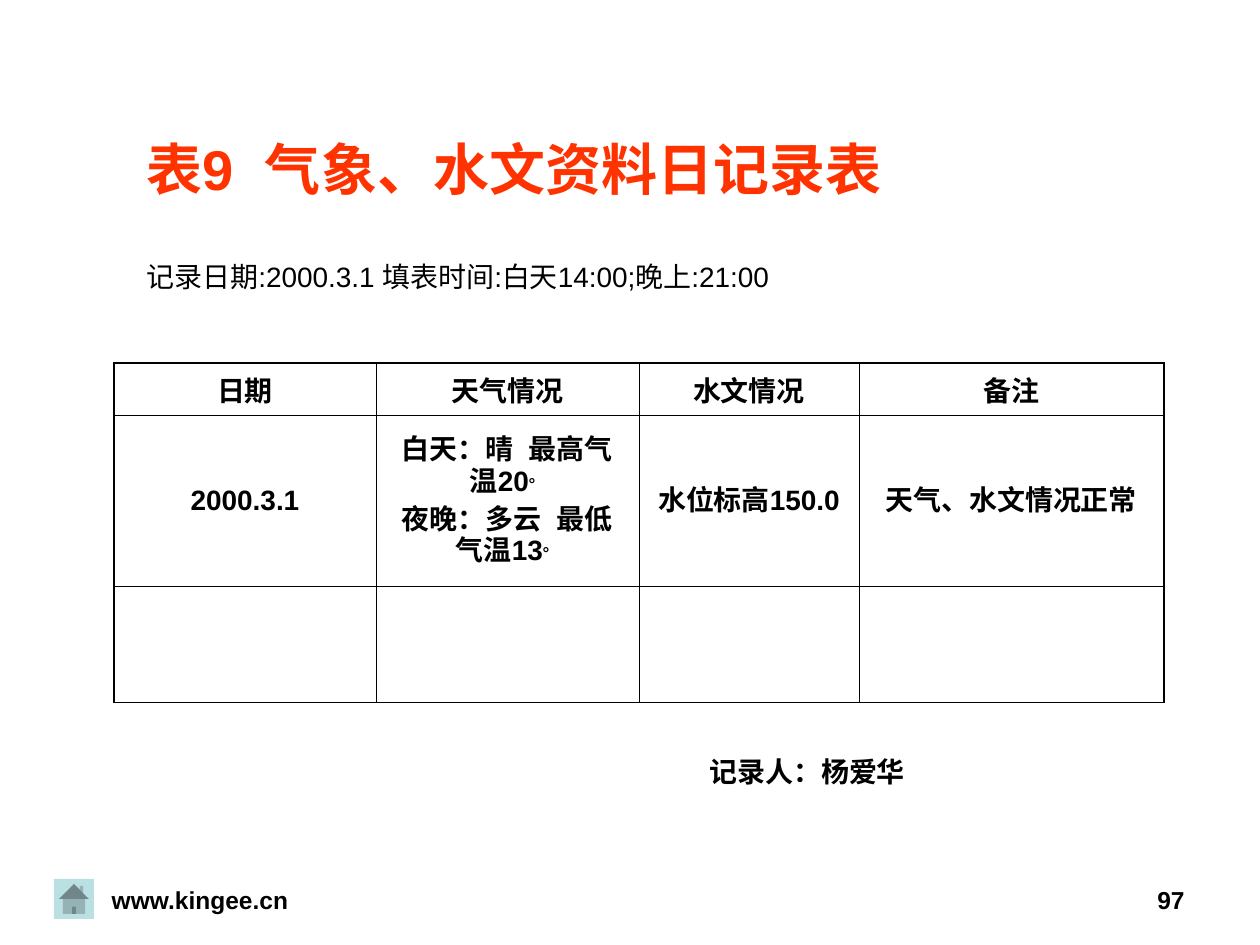
from typing import NamedTuple

from lxml import etree
from pptx import Presentation, oxml
from pptx import util as u
from pptx.dml.color import RGBColor
from pptx.enum import shapes, text
from pptx.oxml.ns import qn

BLACK = RGBColor(0x00, 0x00, 0x00)
RED = RGBColor(0xFF, 0x33, 0x00)
TEAL = RGBColor(0xBB, 0xE0, 0xE3)
ARIAL = "Arial"
NOTO = "Noto Sans CJK SC"
THIN, THICK = 0.45, 1.08
PLAIN = "{2D5ABB26-0587-4C30-8999-92F81FD0307C}"  # no style, no grid
MAIN = "http://schemas.openxmlformats.org/drawingml/2006/main"
ALIGN = text.PP_ALIGN


class Note(NamedTuple):
    words: str
    x: int
    y: int
    w: int
    h: int
    align: ALIGN


NOTES = [
    Note("www.kingee.cn", 0, 879, 400, 66, ALIGN.CENTER),
    Note("97", 903, 879, 294, 66, ALIGN.RIGHT),
]
COLS = [262, 263, 220, 305]
ROWS = [52, 171, 116, 142]
HEADS = ["日期", "天气情况", "水文情况", "备注"]
DAY = [
    "2000.3.1",
    "白天：晴  最高气温20。\n夜晚：多云  最低气温13。",
    "水位标高150.0",
    "天气、水文情况正常",
]


def px(n: int) -> int:
    """Turn px into EMU at 126 px to the inch."""
    return round(n * 914400 / 126)


def style(run, size: int, color: RGBColor, face: str, bold: bool = True) -> None:
    font = run.font
    font.size, font.bold, font.name = u.Pt(size), bold, face
    font.color.rgb = color
    etree.SubElement(run._r.get_or_add_rPr(), qn("a:ea"), typeface=face)


def shade(run) -> None:
    """Give the letters of a run a dark shadow."""
    glow = oxml.parse_xml(
        f'<a:effectLst xmlns:a="{MAIN}"><a:outerShdw dist="35921" dir="2700000">'
        '<a:srgbClr val="000000"/></a:outerShdw></a:effectLst>')
    run._r.get_or_add_rPr().find(qn("a:solidFill")).addnext(glow)


def edge(cell, sides: dict[str, float]) -> None:
    """Draw the cell borders, keyed L, R, T, B, with widths in points."""
    props = cell._tc.get_or_add_tcPr()
    for spot, (side, width) in enumerate(sides.items()):
        line = oxml.parse_xml(
            f'<a:ln{side} xmlns:a="{MAIN}" w="{u.Pt(width)}"><a:solidFill>'
            f'<a:srgbClr val="{BLACK}"/></a:solidFill></a:ln{side}>')
        props.insert(spot, line)


def write(cell, words: str, face: str) -> None:
    """Fill a cell with centred lines; a closing 。 is raised as a degree sign."""
    cell.text_frame.text = words
    for i, para in enumerate(cell.text_frame.paragraphs):
        para.alignment = ALIGN.CENTER
        if i:
            para.space_before = u.Pt(4)
        run = para.runs[0]
        if run.text.endswith("。"):
            run.text = run.text[:-1]
            mark = para.add_run()
            mark.text = "。"
            mark.font._element.set("baseline", "30000")
        for run in para.runs:
            style(run, 16, BLACK, face)


def draw_title(slide) -> None:
    title = slide.shapes.title
    title.left, title.top, title.width, title.height = map(px, (134, 165, 1071, 132))
    frame = title.text_frame
    frame.text = "表9  气象、水文资料日记录表\n记录日期:2000.3.1 填表时间:白天14:00;晚上:21:00"
    frame.auto_size = text.MSO_AUTO_SIZE.NONE
    frame.vertical_anchor = text.MSO_ANCHOR.MIDDLE
    frame.margin_bottom = px(40)
    head, sub = frame.paragraphs
    sub.space_before = u.Pt(33)
    for para, size, color, bold in ((head, 32, RED, True), (sub, 16, BLACK, False)):
        para.alignment = ALIGN.LEFT
        style(para.runs[0], size, color, ARIAL, bold)
        shade(para.runs[0])


def draw_table(slide) -> None:
    frame = slide.shapes.add_table(
        len(ROWS), len(COLS), px(114), px(363), px(sum(COLS)), px(sum(ROWS)))
    table = frame.table
    table.first_row = table.horz_banding = False
    table._tbl.tblPr.find(qn("a:tableStyleId")).text = PLAIN
    for col, wide in zip(table.columns, COLS):
        col.width = px(wide)
    for row, high in zip(table.rows, ROWS):
        row.height = px(high)

    # Grid: heavy on the outside, fine within; the signature row is open
    sign, last = len(ROWS) - 1, len(COLS) - 1
    for r in range(len(ROWS)):
        for c in range(len(COLS)):
            cell = table.cell(r, c)
            cell.fill.background()
            cell.vertical_anchor = text.MSO_ANCHOR.MIDDLE
            if r == sign:
                edge(cell, {"T": THIN})
            else:
                edge(cell, {
                    "L": THIN if c else THICK,
                    "R": THICK if c == last else THIN,
                    "T": THIN if r else THICK,
                    "B": THIN,
                })

    # Wording
    for r, (words, face) in enumerate(((HEADS, NOTO), (DAY, ARIAL))):
        for c, word in enumerate(words):
            write(table.cell(r, c), word, face)
    foot = table.cell(sign, 0)
    foot.merge(table.cell(sign, last))
    write(foot, "记录人：杨爱华", ARIAL)
    para = foot.text_frame.paragraphs[0]
    para.alignment = ALIGN.LEFT
    para._p.get_or_add_pPr().set("marL", str(px(583)))


def draw_note(slide, note: Note) -> None:
    box = slide.shapes.add_textbox(*map(px, (note.x, note.y, note.w, note.h)))
    box.text_frame.word_wrap = True
    box.text_frame.text = note.words
    para = box.text_frame.paragraphs[0]
    para.alignment = note.align
    style(para.runs[0], 14, BLACK, ARIAL)


def main() -> None:
    deck = Presentation()
    deck.slide_width, deck.slide_height = px(1260), px(945)
    slide = deck.slides.add_slide(deck.slide_layouts[5])

    # Home button and footer
    home = slide.shapes.add_shape(
        shapes.MSO_SHAPE.ACTION_BUTTON_HOME, px(54), px(879), px(40), px(40))
    home.shadow.inherit = False
    home.fill.solid()
    home.fill.fore_color.rgb = TEAL
    home.line.fill.background()
    for note in NOTES:
        draw_note(slide, note)

    # Record sheet
    draw_table(slide)
    draw_title(slide)
    deck.save("out.pptx")


if __name__ == "__main__":
    main()
